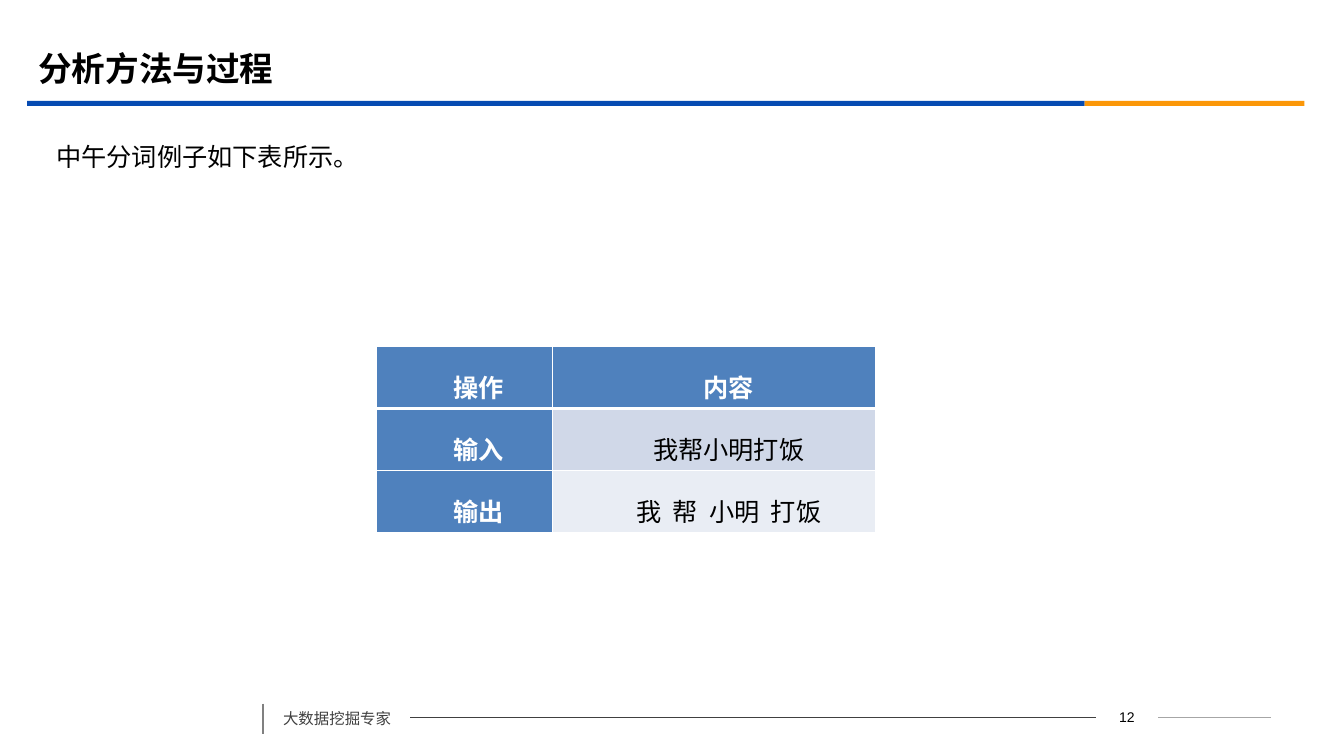
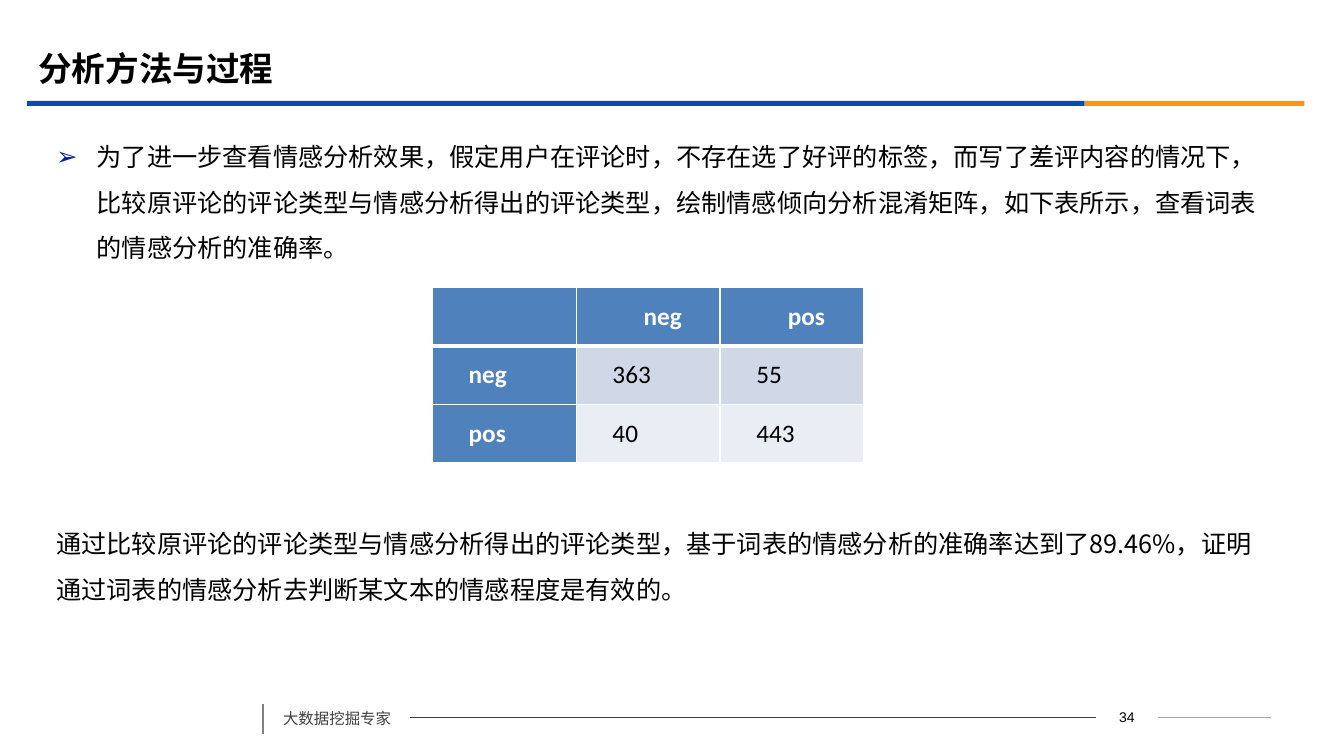
import dataclasses
import typing

import lxml.etree
import pptx
import pptx.dml.color
import pptx.enum.shapes
import pptx.enum.text
import pptx.oxml
import pptx.oxml.ns
import pptx.util

ALIGN = pptx.enum.text.PP_ALIGN
ANCHOR = pptx.enum.text.MSO_ANCHOR
WIDTH = pptx.util.Inches(13.33)
HEIGHT = pptx.util.Inches(7.5)
COLUMN = WIDTH / 160
ROW = HEIGHT / 90


@dataclasses.dataclass(frozen=True)
class Theme:
    blue: str = "064BB2"
    orange: str = "FB9708"
    ink: str = "000000"
    white: str = "FFFFFF"
    footer_ink: str = "404040"
    footer_mark: str = "808080"
    footer_pale: str = "A6A6A6"
    bullet: str = "032089"
    header: str = "4F81BD"
    stripes: tuple[str, str] = ("D0D8E8", "E9EDF4")
    han: str = "Noto Sans CJK SC"
    table_font: str = "Calibri"
    number_font: str = "Arial"
    title_size: float = 24
    body_size: float = 18
    footer_size: float = 11
    number_size: float = 10
    body_leading: float = 32.5


THEME = Theme()


class Area(typing.NamedTuple):
    left: float
    top: float
    width: float
    height: float

    def lengths(self) -> tuple[int, int, int, int]:
        return (round(self.left * COLUMN), round(self.top * ROW),
                round(self.width * COLUMN), round(self.height * ROW))


class Band(typing.NamedTuple):
    area: Area
    color: str


class Rule(typing.NamedTuple):
    start: tuple[float, float]
    end: tuple[float, float]
    color: str
    weight: float


@dataclasses.dataclass(frozen=True)
class Style:
    size: float
    color: str = THEME.ink
    font: str = THEME.han
    bold: bool = False


@dataclasses.dataclass(frozen=True)
class Statement:
    text: str
    top: float
    bulleted: bool = False


@dataclasses.dataclass(frozen=True)
class Grid:
    left: float
    top: float
    columns: tuple[float, ...]
    row: float
    cells: tuple[tuple[str, ...], ...]
    leading: float
    body_align: ALIGN


@dataclasses.dataclass(frozen=True)
class Content:
    title: str
    number: str
    statements: tuple[Statement, ...]
    grid: Grid


BANDS = (
    Band(Area(3.24, 12, 125.88, 0.6), THEME.blue),
    Band(Area(129.12, 12, 26.16, 0.6), THEME.orange),
)
RULES = (
    Rule((137.88, 85.44), (151.32, 85.44), THEME.footer_pale, 0.75),
    Rule((48.84, 85.44), (130.44, 85.44), THEME.footer_ink, 0.75),
    Rule((31.32, 83.76), (31.32, 87.36), THEME.footer_mark, 1.25),
)
TITLE_AREA = Area(3.36, 4.68, 144, 6.96)
NUMBER_AREA = Area(130.44, 83.88, 7.44, 3)
FOOTER_AREA = Area(32.52, 82.68, 16.32, 4.56)
FOOTER = "大数据挖掘专家"
TITLE = "分析方法与过程"

PAGES = (
    Content(
        TITLE, "12",
        (Statement("中午分词例子如下表所示。", 14.45),),
        Grid(44.76, 41.28, (21, 38.52), 7.36,
             (("操作", "内容"),
              ("输入", "我帮小明打饭"),
              ("输出", "我  帮  小明  打饭")),
             1.5, ALIGN.CENTER),
    ),
    Content(
        TITLE, "34",
        (Statement("为了进一步查看情感分析效果，假定用户在评论时，不存在选了好评的标签，"
                   "而写了差评内容的情况下，比较原评论的评论类型与情感分析得出的评论类型，"
                   "绘制情感倾向分析混淆矩阵，如下表所示，查看词表的情感分析的准确率。",
                   14.45, True),
         Statement("通过比较原评论的评论类型与情感分析得出的评论类型，"
                   "基于词表的情感分析的准确率达到了89.46%，"
                   "证明通过词表的情感分析去判断某文本的情感程度是有效的。", 60.5)),
        Grid(51.48, 34.2, (17.12,) * 3, 6.96,
             (("", "neg", "pos"), ("neg", "363", "55"), ("pos", "40", "443")),
             1, ALIGN.JUSTIFY),
    ),
)


def rgb(color: str) -> pptx.dml.color.RGBColor:
    return pptx.dml.color.RGBColor.from_string(color)


def add_child(parent, tag: str, **attributes: str):
    child = lxml.etree.SubElement(parent, pptx.oxml.ns.qn(tag))
    for name, value in attributes.items():
        child.set(name, value)
    return child


def add_span(para, text: str, style: Style) -> None:
    span = para.add_run()
    span.text = text
    span.font.size = pptx.util.Pt(style.size)
    span.font.bold = style.bold
    span.font.name = style.font
    span.font.color.rgb = rgb(style.color)
    add_child(span.font._element, "a:ea", typeface=THEME.han)


def add_text(page, area: Area, text: str, style: Style, wrap: bool = True):
    box = page.shapes.add_textbox(*area.lengths())
    box.text_frame.word_wrap = wrap
    para = box.text_frame.paragraphs[0]
    add_span(para, text, style)
    return box, para


def add_title(page, text: str) -> None:
    box = page.shapes.title
    box.left, box.top, box.width, box.height = TITLE_AREA.lengths()
    box.text_frame.vertical_anchor = ANCHOR.MIDDLE
    para = box.text_frame.paragraphs[0]
    para.alignment = ALIGN.LEFT
    add_span(para, text, Style(THEME.title_size, bold=True))


def add_band(page, band: Band) -> None:
    box = page.shapes.add_shape(
        pptx.enum.shapes.MSO_SHAPE.RECTANGLE, *band.area.lengths())
    box.shadow.inherit = False
    box.fill.solid()
    box.fill.fore_color.rgb = rgb(band.color)
    box.line.fill.background()


def add_rule(page, rule: Rule) -> None:
    line = page.shapes.add_connector(
        pptx.enum.shapes.MSO_CONNECTOR.STRAIGHT,
        *Area(*rule.start, *rule.end).lengths())
    line.line.color.rgb = rgb(rule.color)
    line.line.width = pptx.util.Pt(rule.weight)
    add_child(line._element.spPr, "a:effectLst")


def add_frame(page, number: str) -> None:
    for band in BANDS:
        add_band(page, band)
    for rule in RULES:
        add_rule(page, rule)
    box, para = add_text(page, NUMBER_AREA, number,
                         Style(THEME.number_size, font=THEME.number_font))
    box.text_frame.vertical_anchor = ANCHOR.MIDDLE
    para.alignment = ALIGN.CENTER
    box, para = add_text(page, FOOTER_AREA, FOOTER,
                         Style(THEME.footer_size, THEME.footer_ink), wrap=False)
    para.line_spacing = 1.5


def add_statement(page, statement: Statement) -> None:
    area = Area(5.52, statement.top, 145.8, 18)
    box, para = add_text(page, area, statement.text, Style(THEME.body_size))
    para.line_spacing = pptx.util.Pt(THEME.body_leading)
    if statement.bulleted:
        properties = para._p.get_or_add_pPr()
        indent = pptx.util.Inches(0.4)
        properties.set("marL", str(indent))
        properties.set("indent", str(-indent))
        color = add_child(properties, "a:buClr")
        add_child(color, "a:srgbClr", val=THEME.bullet)
        add_child(properties, "a:buFont", typeface=THEME.number_font)
        add_child(properties, "a:buChar", char="➢")


def set_borders(cell, top: float, bottom: float) -> None:
    properties = cell._tc.get_or_add_tcPr()
    sides = (("a:lnL", 1), ("a:lnR", 1), ("a:lnT", top), ("a:lnB", bottom))
    for tag, weight in sides:
        line = add_child(properties, tag, w=str(pptx.util.Pt(weight)))
        fill = add_child(line, "a:solidFill")
        add_child(fill, "a:srgbClr", val=THEME.white)


def fill_cell(cell, text: str, row: int, column: int, grid: Grid) -> None:
    heading = row == 0 or column == 0
    cell.margin_left = cell.margin_right = pptx.util.Inches(0.07)
    cell.margin_top = cell.margin_bottom = 0
    cell.vertical_anchor = ANCHOR.MIDDLE
    set_borders(cell, 3 if row == 1 else 1, 3 if row == 0 else 1)
    cell.fill.solid()
    cell.fill.fore_color.rgb = rgb(
        THEME.header if heading else THEME.stripes[(row - 1) % 2])
    if text:
        para = cell.text_frame.paragraphs[0]
        para.alignment = ALIGN.CENTER if row == 0 else grid.body_align
        para.line_spacing = grid.leading
        para._p.get_or_add_pPr().set("indent", str(pptx.util.Inches(0.29)))
        color = THEME.white if heading else THEME.ink
        add_span(para, text,
                 Style(THEME.body_size, color, THEME.table_font, heading))


def add_grid(page, grid: Grid) -> None:
    area = Area(grid.left, grid.top, sum(grid.columns),
                grid.row * len(grid.cells))
    table = page.shapes.add_table(
        len(grid.cells), len(grid.columns), *area.lengths()).table
    for column, width in zip(table.columns, grid.columns):
        column.width = round(width * COLUMN)
    for row, texts in enumerate(grid.cells):
        table.rows[row].height = round(grid.row * ROW)
        for column, text in enumerate(texts):
            fill_cell(table.cell(row, column), text, row, column, grid)


def build_page(deck, content: Content) -> None:
    page = deck.slides.add_slide(deck.slide_layouts.get_by_name("Title Only"))
    add_frame(page, content.number)
    add_title(page, content.title)
    for statement in content.statements:
        add_statement(page, statement)
    add_grid(page, content.grid)


def main() -> None:
    deck = pptx.Presentation()
    deck.slide_width, deck.slide_height = WIDTH, HEIGHT
    for content in PAGES:
        build_page(deck, content)
    deck.save("out.pptx")


if __name__ == "__main__":
    main()
